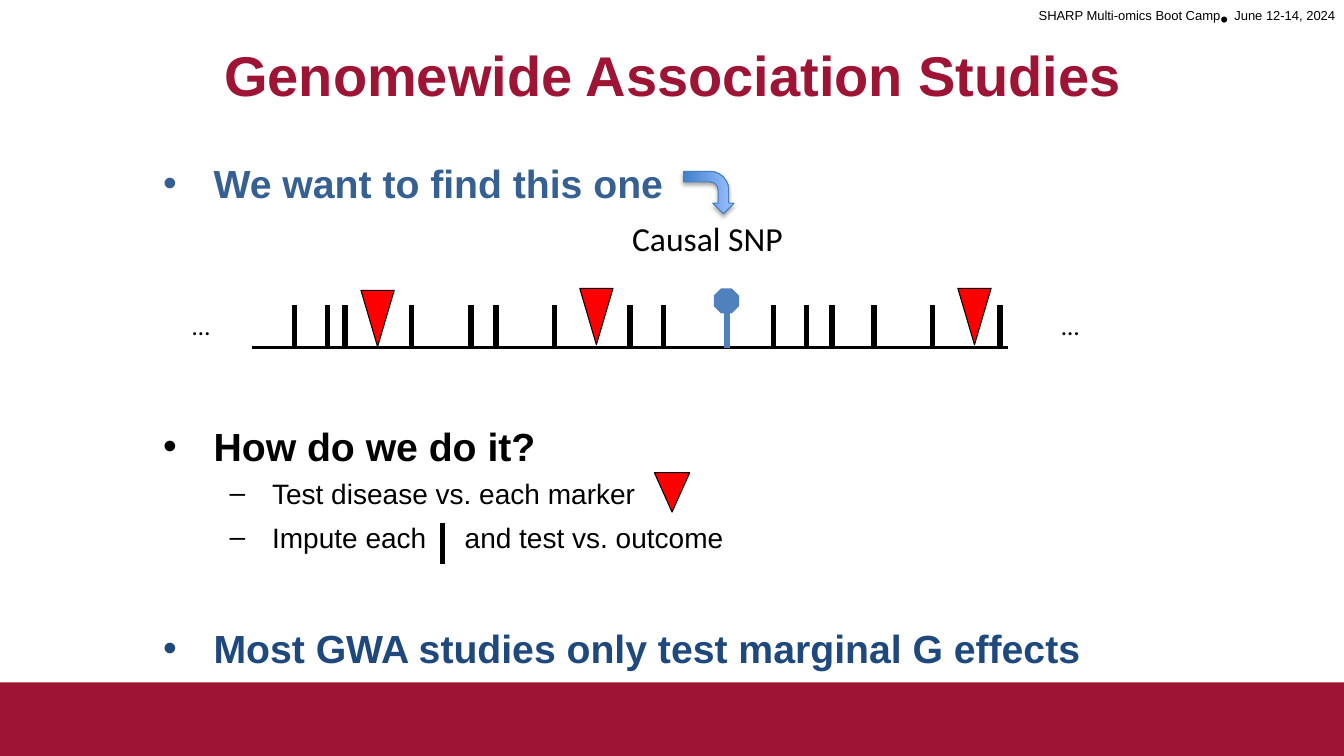
from dataclasses import dataclass
from typing import Optional

from lxml import etree
from pptx import Presentation
from pptx.dml import color
from pptx.enum import shapes, text
from pptx.oxml import ns
from pptx.util import Inches, Pt


@dataclass(frozen=True)
class Theme:
    crimson: str = "9E1435"
    black: str = "000000"
    red: str = "FF0000"
    blue: str = "4F81BD"
    blue_text: str = "376092"
    navy: str = "1F497D"
    arrow_line: str = "4B7EBC"
    arrow_light: str = "9BC1FF"
    arrow_dark: str = "3F80CD"
    heading_font: str = "Arial"
    label_font: str = "Calibri"
    title: int = 40
    bullet: int = 28
    label: int = 24
    dots: int = 18
    sub_bullet: int = 20
    header: int = 16


THEME = Theme()


@dataclass(frozen=True)
class Bullet:
    words: str
    colour: str = THEME.black
    space_before: float = 0
    sub: bool = False
    tab: Optional[float] = None


@dataclass(frozen=True)
class Marker:
    left: float
    top: float
    width: float = 0.33
    height: float = 0.56


BULLETS = [
    Bullet("We want to find this one", THEME.blue_text),
    Bullet("How do we do it?", space_before=154),
    Bullet("Test disease vs. each marker", space_before=5, sub=True),
    Bullet("Impute each\tand test vs. outcome", space_before=7.5, sub=True, tab=2.99),
    Bullet("Most GWA studies only test marginal G effects", THEME.navy, 50.5),
]
MARKERS = [Marker(3.58, 2.88), Marker(5.75, 2.86), Marker(9.5, 2.86),
           Marker(6.49, 4.69, 0.35, 0.39)]
SNP_POSITIONS = [2.92, 3.25, 3.42, 4.08, 4.67, 4.92, 5.5, 6.25, 6.58,
                 7.67, 8, 8.25, 8.67, 9.25, 9.92]
TICK_TOP, AXIS_Y = 3.03, 3.45


def rgb(value: str) -> color.RGBColor:
    return color.RGBColor.from_string(value)


def add_text(paragraph, words: str, *, size: float, font: str = THEME.heading_font,
             colour: str = THEME.black, bold: bool = False, raised: bool = False) -> None:
    run = paragraph.add_run()
    run.text = words
    run.font.size = Pt(size)
    run.font.name = font
    run.font.bold = bold
    run.font.color.rgb = rgb(colour)
    if raised:
        run.font._element.set("baseline", "30000")


def add_box(slide, left: float, top: float, width: float, height: float,
            align=text.PP_ALIGN.LEFT, wrap: bool = True, inset_top: float = 0.05):
    frame = slide.shapes.add_textbox(
        Inches(left), Inches(top), Inches(width), Inches(height)).text_frame
    frame.word_wrap = wrap
    frame.margin_top = Inches(inset_top)
    frame.paragraphs[0].alignment = align
    return frame


def add_line(slide, x1: float, y1: float, x2: float, y2: float,
             colour: str = THEME.black, width: float = 4) -> None:
    line = slide.shapes.add_connector(
        shapes.MSO_CONNECTOR.STRAIGHT, Inches(x1), Inches(y1), Inches(x2), Inches(y2))
    line.line.color.rgb = rgb(colour)
    line.line.width = Pt(width)
    etree.SubElement(line._element.spPr, ns.qn("a:effectLst"))


def add_shape(slide, kind, left: float, top: float, width: float, height: float,
              fill: Optional[str] = None, line: Optional[str] = None, rotation: float = 0):
    shape = slide.shapes.add_shape(
        kind, Inches(left), Inches(top), Inches(width), Inches(height))
    shape.shadow.inherit = False
    shape.rotation = rotation
    if fill:
        shape.fill.solid()
        shape.fill.fore_color.rgb = rgb(fill)
    if line:
        shape.line.color.rgb = rgb(line)
        shape.line.width = Pt(0.75)
    else:
        shape.line.fill.background()
    return shape


def add_bullet(paragraph, bullet: Bullet) -> None:
    indent, hanging = (1.08, 0.42) if bullet.sub else (0.5, 0.5)
    properties = paragraph._p.get_or_add_pPr()
    properties.set("marL", str(Inches(indent)))
    properties.set("indent", str(-Inches(hanging)))
    if bullet.sub:
        paragraph.level = 1
    if bullet.space_before:
        paragraph.space_before = Pt(bullet.space_before)
    etree.SubElement(properties, ns.qn("a:buFont"), typeface=THEME.heading_font)
    etree.SubElement(properties, ns.qn("a:buChar"), char="–" if bullet.sub else "•")
    if bullet.tab:
        tabs = etree.SubElement(properties, ns.qn("a:tabLst"))
        etree.SubElement(tabs, ns.qn("a:tab"), pos=str(Inches(bullet.tab)), algn="l")
    add_text(paragraph, bullet.words, colour=bullet.colour, bold=not bullet.sub,
             size=THEME.sub_bullet if bullet.sub else THEME.bullet)


def add_bent_arrow(slide) -> None:
    arrow = add_shape(slide, shapes.MSO_SHAPE.BENT_ARROW, 6.82, 1.66, 0.42, 0.5,
                      line=THEME.arrow_line, rotation=90)
    arrow.fill.gradient()
    arrow.fill.gradient_angle = 90
    for stop, shade in zip(arrow.fill.gradient_stops, (THEME.arrow_dark, THEME.arrow_light)):
        stop.color.rgb = rgb(shade)
    effects = arrow._element.spPr.find(ns.qn("a:effectLst"))
    shadow = etree.SubElement(effects, ns.qn("a:outerShdw"), blurRad=str(Pt(3.1)),
                              dist=str(Pt(1.8)), dir="5400000", rotWithShape="0")
    shade = etree.SubElement(shadow, ns.qn("a:srgbClr"), val=THEME.black)
    etree.SubElement(shade, ns.qn("a:alpha"), val="35000")


def add_frame(slide) -> None:
    """Draw the footer band, the event line and the title."""
    add_shape(slide, shapes.MSO_SHAPE.RECTANGLE, 0, 6.77, 13.35, 0.76, THEME.crimson)
    header = add_box(slide, 8.06, 0, 5.28, 0.37, text.PP_ALIGN.RIGHT).paragraphs[0]
    for words, raised in (("SHARP Multi-omics Boot Camp", True), ("• ", False),
                          ("June 12-14, 2024", True)):
        add_text(header, words, size=THEME.header, raised=raised)
    title = add_box(slide, 0.67, 0.3, 12, 1.25, text.PP_ALIGN.CENTER, inset_top=0.1)
    add_text(title.paragraphs[0], "Genomewide Association Studies",
             size=THEME.title, colour=THEME.crimson, bold=True)


def add_chromosome(slide) -> None:
    add_line(slide, 2.5, AXIS_Y, 10, AXIS_Y, width=2)
    for x in SNP_POSITIONS:
        add_line(slide, x, TICK_TOP, x, AXIS_Y)
    for left in (1.81, 10.43):
        dots = add_box(slide, left, 3.03, 1.25, 0.4)
        add_text(dots.paragraphs[0], "…", size=THEME.dots, font=THEME.label_font)
    add_line(slide, 7.21, TICK_TOP, 7.21, AXIS_Y, THEME.blue)
    add_shape(slide, shapes.MSO_SHAPE.OCTAGON, 7.08, 2.86, 0.25, 0.25, THEME.blue)
    label = add_box(slide, 6.17, 2.11, 1.71, 0.5, wrap=False)
    add_text(label.paragraphs[0], "Causal SNP", size=THEME.label, font=THEME.label_font)


def main() -> None:
    presentation = Presentation()
    presentation.slide_width, presentation.slide_height = Inches(13.33), Inches(7.5)
    slide = presentation.slides.add_slide(presentation.slide_layouts[6])
    add_frame(slide)
    body = add_box(slide, 1.52, 1.49, 10.79, 5.42, inset_top=0.09)
    for index, bullet in enumerate(BULLETS):
        add_bullet(body.add_paragraph() if index else body.paragraphs[0], bullet)
    add_chromosome(slide)
    for marker in MARKERS:
        add_shape(slide, shapes.MSO_SHAPE.ISOSCELES_TRIANGLE, marker.left, marker.top,
                  marker.width, marker.height, THEME.red, THEME.black, rotation=180)
    add_line(slide, 4.39, 5.19, 4.39, 5.6)
    add_bent_arrow(slide)
    presentation.save("out.pptx")


if __name__ == "__main__":
    main()
